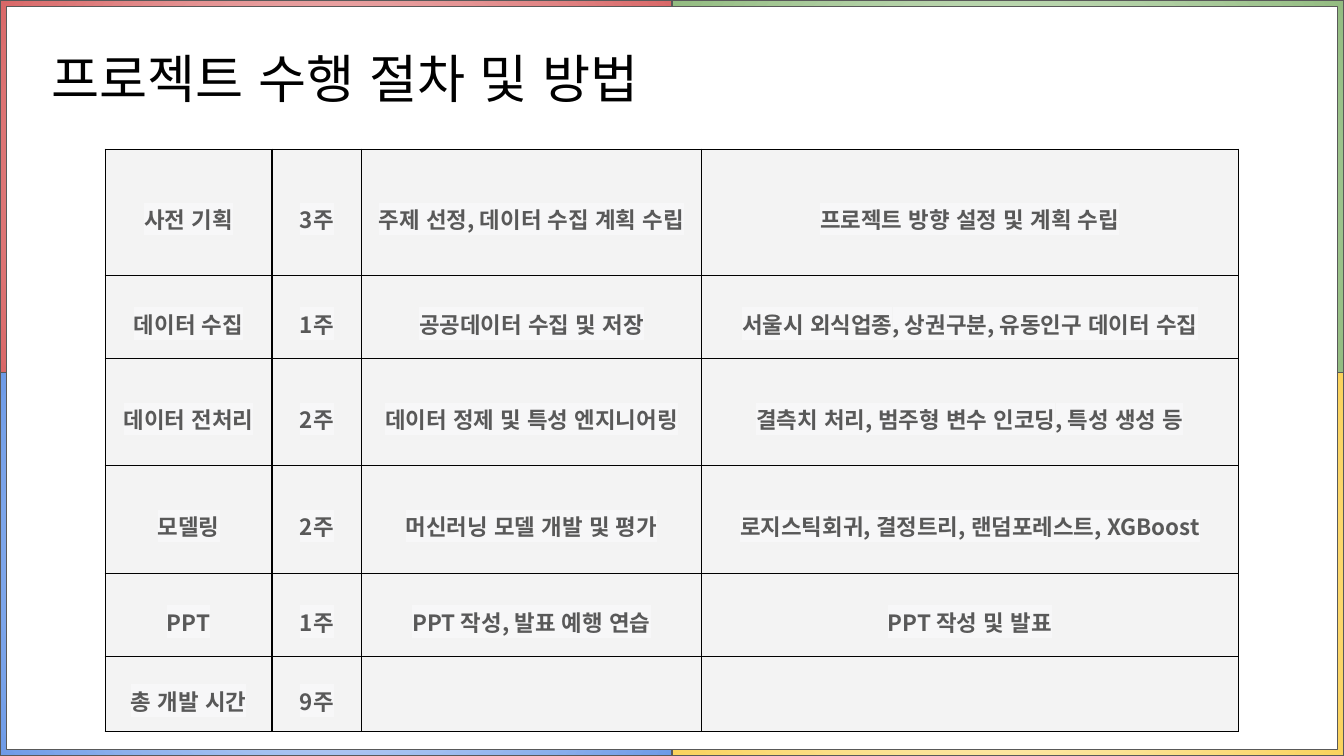
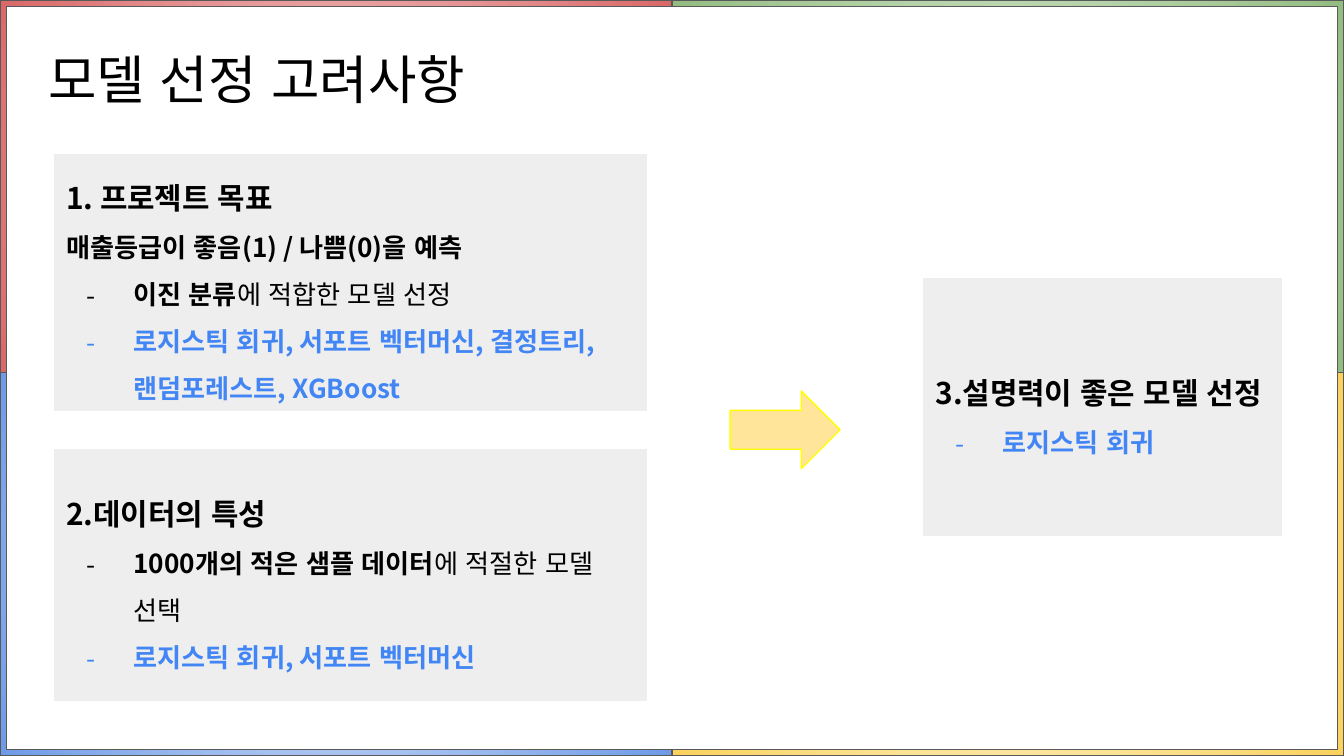
"""Build two slides on project procedure and model selection."""
import lxml.etree
import pptx
import pptx.dml.color
import pptx.enum.shapes
import pptx.enum.text
import pptx.oxml.ns
import pptx.util

Cm, Pt = pptx.util.Cm, pptx.util.Pt
qn = pptx.oxml.ns.qn
KIND = pptx.enum.shapes.MSO_SHAPE
ALIGN = pptx.enum.text.PP_ALIGN
ANCHOR = pptx.enum.text.MSO_ANCHOR
FONT = "Noto Sans CJK KR"
HUE = {
    "black": "000000", "white": "FFFFFF", "edge": "595959", "blue": "4285F4",
    "cell": "F3F3F3", "mark": "F7F7F8", "panel": "EEEEEE",
    "arrow": "FFE599", "rim": "FFFF00",
}
WIDE, HIGH = 25.4, 14.29
MID_X, MID_Y = WIDE / 2, 7.04
RIM = 0.12
FRAME = [
    ("F5D0D0", "D96868"), ("DCECD5", "93BC81"),
    ("DFE9FB", "6E9BE7"), ("FFF6DB", "FAD25C"),
]
PLAN = [
    ("사전 기획", "3주", "주제 선정, 데이터 수집 계획 수립", "프로젝트 방향 설정 및 계획 수립"),
    ("데이터 수집", "1주", "공공데이터 수집 및 저장", "서울시 외식업종, 상권구분, 유동인구 데이터 수집"),
    ("데이터 전처리", "2주", "데이터 정제 및 특성 엔지니어링", "결측치 처리, 범주형 변수 인코딩, 특성 생성 등"),
    ("모델링", "2주", "머신러닝 모델 개발 및 평가", "로지스틱회귀, 결정트리, 랜덤포레스트, XGBoost"),
    ("PPT", "1주", "PPT 작성, 발표 예행 연습", "PPT 작성 및 발표"),
    ("총 개발 시간", "9주", "", ""),
]
COLS = (3.15, 1.69, 6.43, 10.14)
ROWS = (2.03, 1.57, 2.03, 2.03, 1.57, 0.91)
HEAD = {"size": 16, "bold": True}
LEAD = {"size": 14, "bold": True}
PLAIN = {"size": 14}
MODEL = {"size": 14, "bold": True, "hue": "blue"}
PANELS = [
    ((1, 2.89, 11.24, 4.9), [
        (None, [("1. 프로젝트 목표", HEAD)]),
        (None, [("매출등급이 좋음(1) / 나쁨(0)을 예측", LEAD)]),
        ("black", [("이진 분류", LEAD), ("에 적합한 모델 선정", PLAIN)]),
        ("blue", [("로지스틱 회귀, 서포트 벡터머신, 결정트리, 랜덤포레스트, XGBoost", MODEL)]),
    ]),
    ((1, 8.47, 11.24, 4.8), [
        (None, [("2.데이터의 특성", HEAD)]),
        ("black", [("1000개의 적은 샘플 데이터", LEAD), ("에 적절한 모델 선택", PLAIN)]),
        ("blue", [("로지스틱 회귀, 서포트 벡터머신", MODEL)]),
    ]),
    ((17.43, 5.25, 6.82, 4.9), [
        (None, [("3.설명력이 좋은 모델 선정", HEAD)]),
        ("blue", [("로지스틱 회귀", MODEL)]),
    ]),
]


def rgb(code):
    return pptx.dml.color.RGBColor.from_string(code)


def node(parent, tag, **attrs):
    return lxml.etree.SubElement(parent, qn("a:" + tag), attrs)


def write(para, text, size=14, hue="black", bold=False, mark=None):
    run = para.add_run()
    run.text = text
    font = run.font
    font.size, font.bold = Pt(size), bold
    font.color.rgb = rgb(HUE[hue])
    props = run._r.get_or_add_rPr()
    props.set("lang", "ko")
    props.set("kern", "0")
    if mark:
        node(node(props, "highlight"), "srgbClr", val=HUE[mark])
    for tag in ("latin", "ea", "cs"):
        node(props, tag, typeface=FONT)


def inset(frame, left=0.25):
    frame.word_wrap = True
    frame.auto_size = pptx.enum.text.MSO_AUTO_SIZE.NONE
    frame.margin_left = Cm(left)
    frame.margin_right = frame.margin_top = frame.margin_bottom = Cm(0.25)


def draw(slide, kind, box, fill, line):
    shape = slide.shapes.add_shape(kind, *map(Cm, box))
    shape.shadow.inherit = False
    if isinstance(fill, tuple):
        shape.fill.gradient()
        for stop, code in zip(shape.fill.gradient_stops, fill):
            stop.color.rgb = rgb(code)
        grad = shape.element.spPr.find(qn("a:gradFill"))
        grad.remove(grad.find(qn("a:lin")))
        ring = node(grad, "path", path="circle")
        node(ring, "fillToRect", l="50000", t="50000", r="50000", b="50000")
    else:
        shape.fill.solid()
        shape.fill.fore_color.rgb = rgb(HUE[fill])
    shape.line.color.rgb = rgb(HUE[line])
    shape.line.width = Pt(0.75)
    return shape


def border(slide, layout):
    parts = []
    for i, fill in enumerate(FRAME):
        row, col = divmod(i, 2)
        box = (col * MID_X, row * MID_Y, MID_X, HIGH - MID_Y if row else MID_Y)
        parts.append(draw(slide, KIND.RECTANGLE, box, fill, "edge"))
    inner = (RIM, RIM, WIDE - 2 * RIM, HIGH - 2 * RIM)
    parts.append(draw(slide, KIND.RECTANGLE, inner, "white", "edge"))
    tree = layout.element.cSld.spTree
    for i, part in enumerate(parts):
        tree.insert(2 + i, part.element)


def title(slide, text, box, size, left=0.25):
    shape = slide.shapes.title
    shape.left, shape.top, shape.width, shape.height = map(Cm, box)
    frame = shape.text_frame
    inset(frame, left)
    frame.vertical_anchor = ANCHOR.TOP
    para = frame.paragraphs[0]
    para.alignment = ALIGN.LEFT
    write(para, text, size=size)


def fill_cell(cell, text):
    cell.fill.solid()
    cell.fill.fore_color.rgb = rgb(HUE["cell"])
    cell.vertical_anchor = ANCHOR.MIDDLE
    cell.margin_left = cell.margin_right = Cm(0.25)
    cell.margin_top, cell.margin_bottom = Cm(0.18), Cm(0.28)
    props = cell._tc.get_or_add_tcPr()
    for i, tag in enumerate(("lnL", "lnR", "lnT", "lnB")):
        line = node(props, tag, w=str(Pt(0.75)))
        node(node(line, "solidFill"), "srgbClr", val=HUE["black"])
        props.insert(i, line)
    para = cell.text_frame.paragraphs[0]
    para.alignment = ALIGN.CENTER
    para.line_spacing = 1.57
    if text:
        write(para, text, size=12, hue="edge", bold=True, mark="mark")
    else:
        node(para._p, "endParaRPr", sz="1200")


def schedule(slide):
    box = (1.99, 2.82, sum(COLS), sum(ROWS))
    table = slide.shapes.add_table(len(ROWS), len(COLS), *map(Cm, box)).table
    table.first_row = table.horz_banding = False
    for col, width in zip(table.columns, COLS):
        col.width = Cm(width)
    for row, height, texts in zip(table.rows, ROWS, PLAN):
        row.height = Cm(height)
        for cell, text in zip(row.cells, texts):
            fill_cell(cell, text)


def panel(slide, box, lines):
    frame = draw(slide, KIND.RECTANGLE, box, "panel", "white").text_frame
    inset(frame)
    frame.vertical_anchor = ANCHOR.MIDDLE
    for i, (dash, runs) in enumerate(lines):
        para = frame.add_paragraph() if i else frame.paragraphs[0]
        para.alignment = ALIGN.LEFT
        para.line_spacing = 1.5
        if dash:
            props = para._p.get_or_add_pPr()
            props.set("marL", str(Cm(1.27)))
            props.set("indent", str(Cm(-0.89)))
            node(node(props, "buClr"), "srgbClr", val=HUE[dash])
            node(props, "buFont", typeface=FONT)
            node(props, "buChar", char="-")
        for text, style in runs:
            write(para, text, **style)


def main():
    deck = pptx.Presentation()
    deck.slide_width, deck.slide_height = Cm(WIDE), Cm(HIGH)
    layout = deck.slide_layouts[5]

    first = deck.slides.add_slide(layout)
    border(first, layout)
    title(first, "프로젝트 수행 절차 및 방법", (0.18, 0.62, 18.49, 2), 28, left=0.8)
    first.shapes.title.fill.solid()
    first.shapes.title.fill.fore_color.rgb = rgb(HUE["white"])
    schedule(first)

    second = deck.slides.add_slide(layout)
    title(second, "모델 선정 고려사항", (0.66, 0.64, 21.2, 1.6), 28.2)
    for box, lines in PANELS:
        panel(second, box, lines)
    draw(second, KIND.RIGHT_ARROW, (13.8, 7.39, 2.08, 1.47), "arrow", "rim")
    deck.save("out.pptx")


if __name__ == "__main__":
    main()
